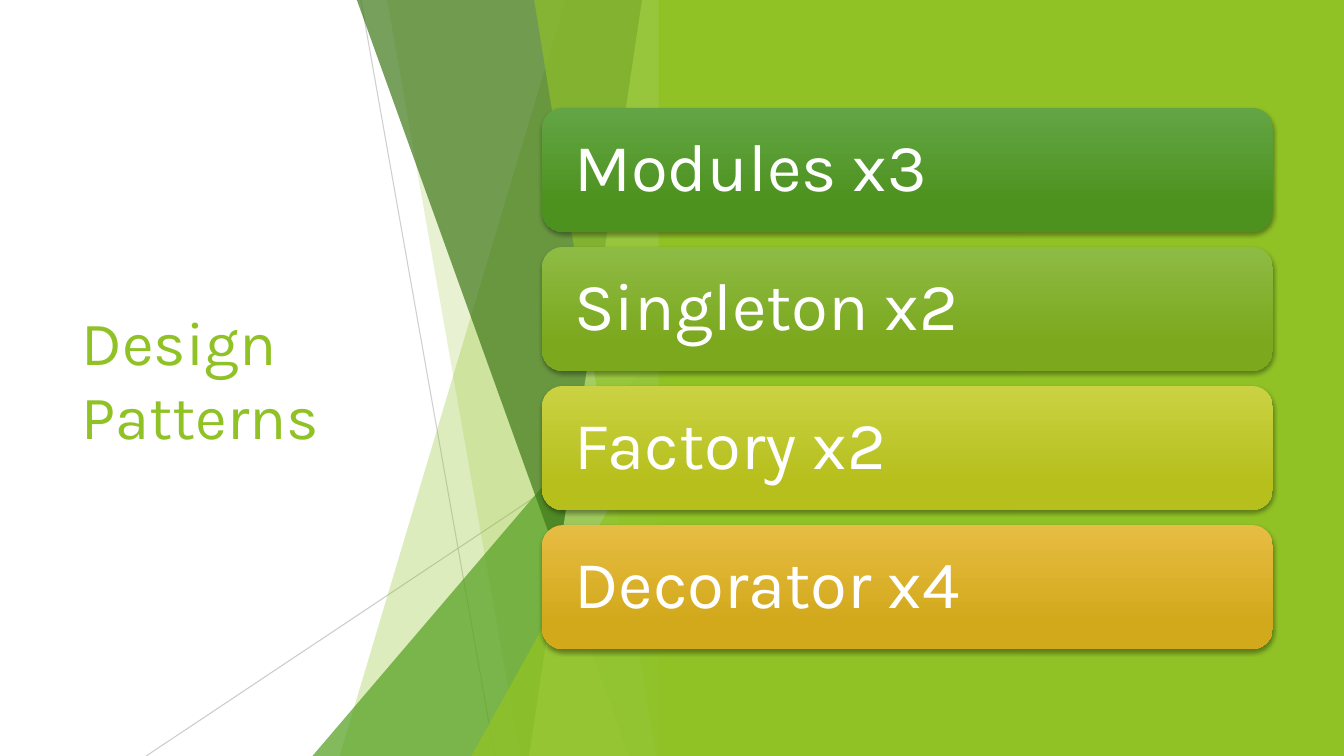
"""Build the Design Patterns slide: a faceted green backdrop with four pattern cards."""
from typing import NamedTuple

from lxml.etree import SubElement
from pptx import Presentation
from pptx.dml.color import RGBColor
from pptx.enum.shapes import MSO_CONNECTOR, MSO_SHAPE
from pptx.enum.text import MSO_ANCHOR, PP_ALIGN
from pptx.oxml.ns import qn
from pptx.shapes.autoshape import Shape
from pptx.shapes.shapetree import SlideShapes
from pptx.text.text import TextFrame
from pptx.util import Pt

WHITE = RGBColor(0xFF, 0xFF, 0xFF)
GREY = RGBColor(0xBF, 0xBF, 0xBF)
LIME = RGBColor(0x90, 0xC2, 0x26)
PALE_LIME = RGBColor(0xC0, 0xE4, 0x74)
GREEN = RGBColor(0x54, 0xA0, 0x21)
DARK_GREEN = RGBColor(0x3F, 0x78, 0x19)

FONT = "Karla"
SLIDE_WIDTH, SLIDE_HEIGHT = 960, 540
FACET_EDGE = 479.5
PANEL_LEFT = 470.5
CARD_LEFT, CARD_TOP, CARD_WIDTH, CARD_HEIGHT = 387.2, 77, 522, 88.6
CARD_PITCH = 99.35


class Ray(NamedTuple):
    """A thin line crossing the backdrop."""
    start: tuple[float, float]
    end: tuple[float, float]
    opacity: int


class Facet(NamedTuple):
    """A translucent plane that reaches the facet edge on its right."""
    top_x: float
    bottom_x: float
    top: float
    colour: RGBColor
    opacity: int


class Card(NamedTuple):
    """A pattern with its count and gradient."""
    label: str
    light: RGBColor
    deep: RGBColor


RAYS = [Ray((257.8, 0), (353.5, 540), 75), Ray((479.5, 290.2), (104.4, 540), 80)]
FACETS = [
    Facet(403.9, 242.6, 0, LIME, 30),
    Facet(276.5, 371.5, 0, LIME, 20),
    Facet(FACET_EDGE, 223.2, 239.8, GREEN, 72),
    Facet(254.9, 449.3, 0, DARK_GREEN, 70),
    Facet(458.6, 378, 0, PALE_LIME, 70),
    Facet(381.6, 468.7, 0, LIME, 65),
    Facet(FACET_EDGE, 336.7, 283, LIME, 80),
]
CARDS = [
    Card("Modules x3", RGBColor(0x63, 0xA5, 0x45), RGBColor(0x4D, 0x92, 0x1E)),
    Card("Singleton x2", RGBColor(0x8E, 0xBB, 0x44), RGBColor(0x7B, 0xA8, 0x1D)),
    Card("Factory x2", RGBColor(0xCA, 0xD2, 0x43), RGBColor(0xB6, 0xBF, 0x1B)),
    Card("Decorator x4", RGBColor(0xE7, 0xBC, 0x43), RGBColor(0xD2, 0xA9, 0x1B)),
]


def set_opacity(properties, percent: int) -> None:
    """Give the first solid colour under the properties an opacity."""
    colour = next(properties.iter(qn("a:srgbClr")))
    SubElement(colour, qn("a:alpha"), val=str(percent * 1000))


def paint(shape: Shape, colour: RGBColor) -> None:
    """Fill a shape flatly, without outline or shadow."""
    shape.shadow.inherit = False
    shape.fill.solid()
    shape.fill.fore_color.rgb = colour
    shape.line.fill.background()


def write(frame: TextFrame, text: str, *, size: float, colour: RGBColor,
          inset: float = 7.2, line_spacing: float = 1.0) -> None:
    """Write left-aligned, vertically centred text."""
    frame.word_wrap = True
    frame.vertical_anchor = MSO_ANCHOR.MIDDLE
    frame.margin_left = frame.margin_right = Pt(inset)
    paragraph = frame.paragraphs[0]
    paragraph.alignment = PP_ALIGN.LEFT
    paragraph.line_spacing = line_spacing
    run = paragraph.add_run()
    run.text = text
    run.font.name = FONT
    run.font.size = Pt(size)
    run.font.color.rgb = colour


def draw_ray(shapes: SlideShapes, ray: Ray) -> None:
    """Draw one thin line."""
    line = shapes.add_connector(
        MSO_CONNECTOR.STRAIGHT, *map(Pt, ray.start), *map(Pt, ray.end))
    line.line.color.rgb = GREY
    line.line.width = Pt(0.75)
    properties = line._element.spPr
    set_opacity(properties, ray.opacity)
    SubElement(properties, qn("a:effectLst"))


def draw_facet(shapes: SlideShapes, facet: Facet) -> None:
    """Draw a right triangle, or a four-sided plane of full height."""
    if facet.top_x == FACET_EDGE:
        plane = shapes.add_shape(
            MSO_SHAPE.ISOSCELES_TRIANGLE, Pt(facet.bottom_x), Pt(facet.top),
            Pt(FACET_EDGE - facet.bottom_x), Pt(SLIDE_HEIGHT - facet.top))
        plane.adjustments[0] = 1
    else:
        outline = shapes.build_freeform(Pt(facet.top_x), Pt(facet.top))
        outline.add_line_segments([
            (Pt(FACET_EDGE), Pt(facet.top)),
            (Pt(FACET_EDGE), Pt(SLIDE_HEIGHT)),
            (Pt(facet.bottom_x), Pt(SLIDE_HEIGHT)),
        ])
        plane = outline.convert_to_shape()
    paint(plane, facet.colour)
    set_opacity(plane._element.spPr, facet.opacity)


def draw_card(shapes: SlideShapes, card: Card, top: float) -> None:
    """Draw one gradient card with a soft shadow below it."""
    box = shapes.add_shape(MSO_SHAPE.ROUNDED_RECTANGLE, Pt(CARD_LEFT), Pt(top),
                           Pt(CARD_WIDTH), Pt(CARD_HEIGHT))
    box.line.fill.background()
    box.fill.gradient()
    box.fill.gradient_angle = 270
    stops = zip(box.fill.gradient_stops, (0, 0.78), (card.light, card.deep))
    for stop, position, colour in stops:
        stop.position = position
        stop.color.rgb = colour
    box.shadow.inherit = False
    effects = box._element.spPr.find(qn("a:effectLst"))
    shadow = SubElement(effects, qn("a:outerShdw"), blurRad=str(Pt(3)),
                        dist=str(Pt(2)), dir="5400000", rotWithShape="0")
    SubElement(shadow, qn("a:srgbClr"), val="000000")
    set_opacity(shadow, 35)
    write(box.text_frame, card.label, size=48, colour=WHITE, inset=18.7,
          line_spacing=0.9)


def main() -> None:
    """Build and save the slide."""
    deck = Presentation()
    deck.slide_width, deck.slide_height = Pt(SLIDE_WIDTH), Pt(SLIDE_HEIGHT)
    slide = deck.slides.add_slide(deck.slide_layouts[6])
    shapes = slide.shapes

    title = shapes.add_textbox(Pt(51.1), Pt(108.7), Pt(279.4), Pt(322.6))
    write(title.text_frame, "Design Patterns", size=44, colour=LIME)
    for ray in RAYS:
        draw_ray(shapes, ray)
    for facet in FACETS:
        draw_facet(shapes, facet)
    panel = shapes.add_shape(MSO_SHAPE.RECTANGLE, Pt(PANEL_LEFT), Pt(0),
                             Pt(SLIDE_WIDTH - PANEL_LEFT), Pt(SLIDE_HEIGHT))
    paint(panel, LIME)
    for index, card in enumerate(CARDS):
        draw_card(shapes, card, CARD_TOP + index * CARD_PITCH)

    deck.save("out.pptx")


if __name__ == "__main__":
    main()
